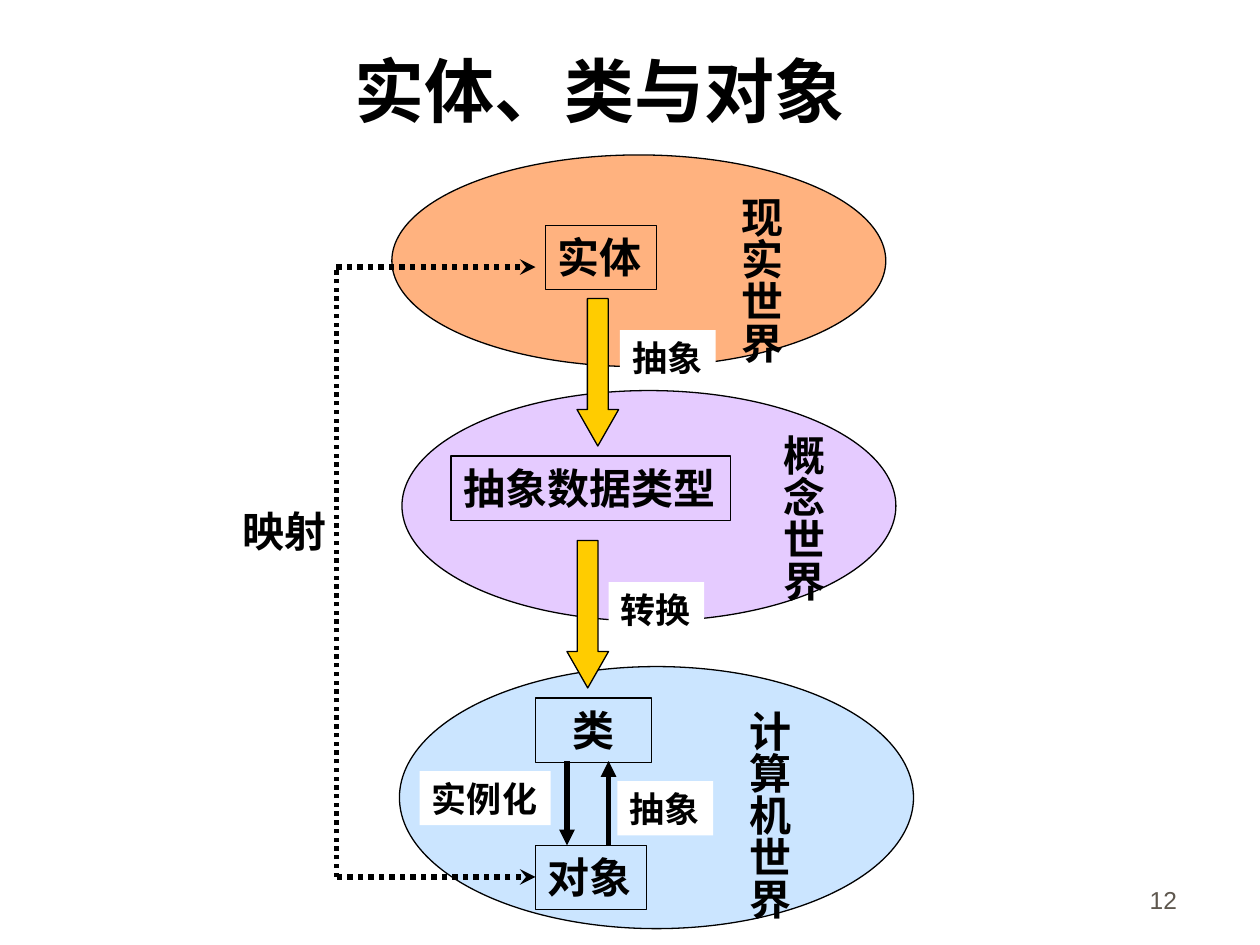
from lxml import etree
from pptx import Presentation
from pptx.dml.color import RGBColor
from pptx.enum.dml import MSO_LINE
from pptx.enum.shapes import MSO_CONNECTOR, MSO_SHAPE
from pptx.enum.text import MSO_ANCHOR, PP_ALIGN
from pptx.oxml.ns import qn
from pptx.util import Inches, Pt

OVAL, RECT, DOWN = MSO_SHAPE.OVAL, MSO_SHAPE.RECTANGLE, MSO_SHAPE.DOWN_ARROW
LEFT, CENTER, RIGHT = PP_ALIGN.LEFT, PP_ALIGN.CENTER, PP_ALIGN.RIGHT
TOP, BOTTOM = MSO_ANCHOR.TOP, MSO_ANCHOR.BOTTOM
STRAIGHT, DOTTED = MSO_CONNECTOR.STRAIGHT, MSO_LINE.ROUND_DOT
color = RGBColor.from_string


def write(shape, text, size=24, font="Times New Roman", ink="000000", bold=True,
          align=LEFT, anchor=TOP, wrap=False):
    frame = shape.text_frame
    frame.text = text
    frame.word_wrap = wrap
    frame.vertical_anchor = anchor
    paragraph = frame.paragraphs[0]
    paragraph.alignment = align
    style = paragraph.runs[0].font
    style.name, style.size, style.bold = font, Pt(size), bold
    style.color.rgb = color(ink)


def draw(kind, box, fill=None, outline="000000"):
    shape = slide.shapes.add_shape(kind, *map(Inches, box))
    shape.shadow.inherit = False
    if fill:
        shape.fill.solid()
        shape.fill.fore_color.rgb = color(fill)
    else:
        shape.fill.background()
    if outline:
        shape.line.color.rgb = color(outline)
        shape.line.width = Pt(0.75)
    else:
        shape.line.fill.background()
    return shape


prs = Presentation()
prs.slide_width, prs.slide_height = Inches(10), Inches(7.5)
slide = prs.slides.add_slide(prs.slide_layouts[5])

# Title
title = slide.shapes.title
title.left, title.top, title.width, title.height = map(Inches, (0.51, 0.05, 8.5, 1.04))
write(title, "实体、类与对象", 40, "Montserrat", align=CENTER, anchor=BOTTOM, wrap=True)

# Page number
page = slide.shapes.add_textbox(*map(Inches, (7.36, 6.81, 2.08, 0.5)))
write(page, "12", 14, "Arial", "5E574E", False, RIGHT, BOTTOM, True)

# Three worlds: translucent ellipse with a vertical name
worlds = [
    ("计算机世界", "99CCFF", (3.17, 5.29, 4.08, 2.08), (5.75, 5.54, 0.6, 1.74)),
    ("概念世界", "CC99FF", (3.19, 3.1, 3.92, 1.83), (6.02, 3.35, 0.6, 1.41)),
    ("现实世界", "FF6600", (3.11, 1.23, 3.92, 1.68), (5.69, 1.46, 0.6, 1.41)),
]
for name, fill, ellipse_box, name_box in worlds:
    ellipse = draw(OVAL, ellipse_box, fill)
    fill_color = ellipse.fill._xPr.find(qn("a:solidFill"))[0]
    etree.SubElement(fill_color, qn("a:alpha"), val="50000")
    world_name = slide.shapes.add_textbox(*map(Inches, name_box))
    write(world_name, name)
    world_name.text_frame._txBody.bodyPr.set("vert", "eaVert")

# Concepts inside the worlds
concepts = [
    ("实体", 4.33, 1.79, 0.88, LEFT),
    ("抽象数据类型", 3.58, 3.62, 2.22, LEFT),
    ("类", 4.25, 5.54, 0.92, CENTER),
    ("对象", 4.25, 6.71, 0.88, LEFT),
]
for name, left, top, width, align in concepts:
    write(draw(RECT, (left, top, width, 0.51)), name, align=align, wrap=align == CENTER)

# Block arrows between the worlds
for left, top in [(4.58, 2.37), (4.5, 4.29)]:
    step = draw(DOWN, (left, top, 0.33, 1.17), "FFCC00")
    step.adjustments[0], step.adjustments[1] = 0.5, 0.875

# Class/object arrows and the dotted mapping path
arrows = [
    ((4.83, 6.71), (4.83, 6.04), 3, None, "tailEnd", "triangle"),
    ((4.5, 6.04), (4.5, 6.71), 3, None, "tailEnd", "triangle"),
    ((4.25, 6.96), (2.67, 6.96), 3, DOTTED, "headEnd", "stealth"),
    ((2.67, 6.96), (2.67, 2.12), 2.5, DOTTED, None, None),
    ((2.67, 2.12), (4.25, 2.12), 3, DOTTED, "tailEnd", "stealth"),
]
for start, end, width, dash, arrow_end, head in arrows:
    arrow = slide.shapes.add_connector(STRAIGHT, *map(Inches, start + end))
    arrow.line.color.rgb = color("000000")
    arrow.line.width = Pt(width)
    if dash:
        arrow.line.dash_style = dash
    if arrow_end:
        etree.SubElement(arrow.line._get_or_add_ln(), qn("a:" + arrow_end), type=head)
    etree.SubElement(arrow._element.spPr, qn("a:effectLst"))

# Arrow labels
labels = [
    ("抽象", 4.92, 2.62, 0.76),
    ("转换", 4.83, 4.62, 0.76),
    ("抽象", 4.9, 6.2, 0.76),
    ("实例化", 3.33, 6.12, 1.04),
]
for name, left, top, width in labels:
    write(draw(RECT, (left, top, width, 0.43), "FFFFFF", None), name, 20)

mapping = slide.shapes.add_textbox(*map(Inches, (1.83, 3.96, 0.87, 0.5)))
write(mapping, "映射")

prs.save("out.pptx")
